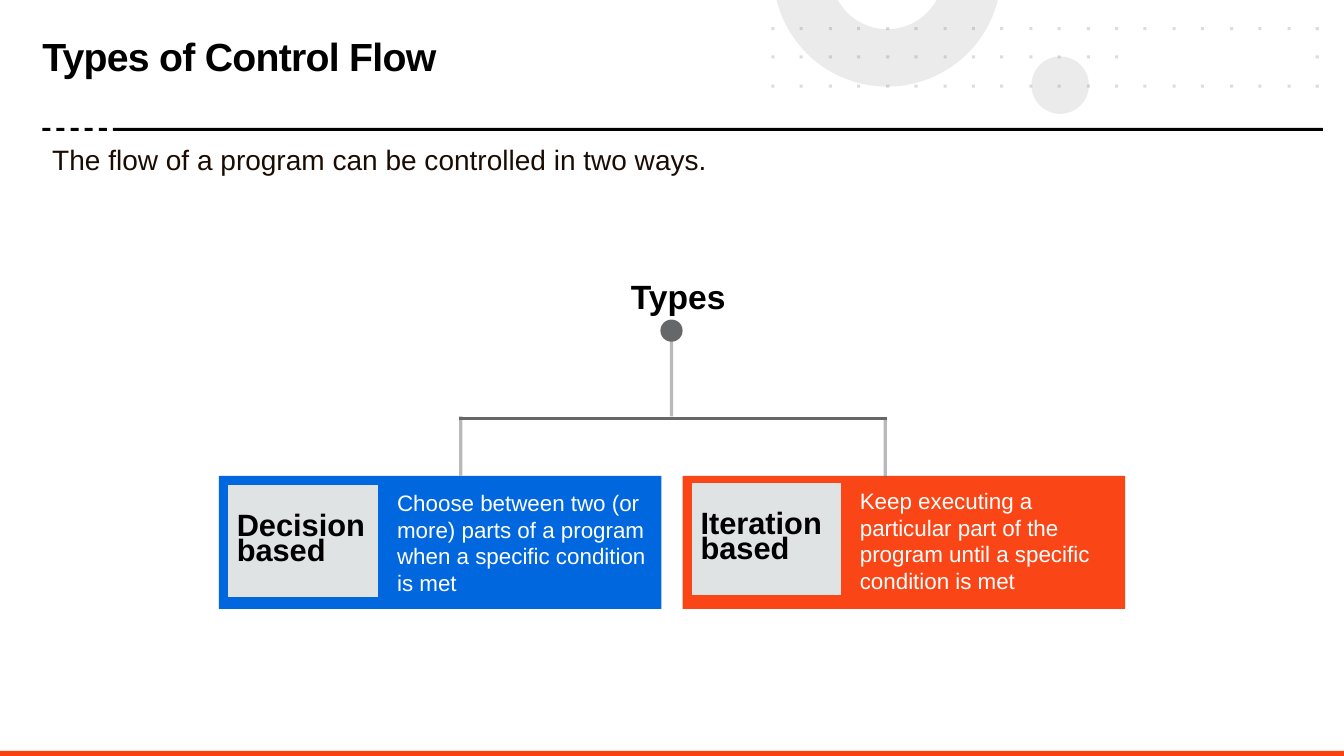
from dataclasses import dataclass
from math import asin, cos, pi, sin

from lxml import etree
from pptx import Presentation
from pptx.dml.color import RGBColor
from pptx.enum.shapes import MSO_CONNECTOR, MSO_SHAPE
from pptx.enum.text import MSO_ANCHOR, MSO_AUTO_SIZE, PP_ALIGN
from pptx.oxml.ns import qn
from pptx.util import Pt

PX = 9144  # 100 px to the inch
WIDTH, HEIGHT = 1333, 750
FONT = "Arial"

BLACK = RGBColor(0x00, 0x00, 0x00)
WHITE = RGBColor(0xFF, 0xFF, 0xFF)
INTRO_BROWN = RGBColor(0x1A, 0x0C, 0x02)
FOOTER_ORANGE = RGBColor(0xFA, 0x42, 0x11)
BLUE = RGBColor(0x00, 0x67, 0xDF)
ORANGE = RGBColor(0xFA, 0x46, 0x16)
LABEL_GREY = RGBColor(0xDF, 0xE3, 0xE3)
TREE_GREY = RGBColor(0x66, 0x67, 0x68)
PALE_GREY = RGBColor(0xD9, 0xD9, 0xD9)
DOT_SLATE = RGBColor(0x44, 0x54, 0x6A)

RECT, OVAL = MSO_SHAPE.RECTANGLE, MSO_SHAPE.OVAL
STRAIGHT, ELBOW = MSO_CONNECTOR.STRAIGHT, MSO_CONNECTOR.ELBOW
LEFT, MIDDLE = PP_ALIGN.LEFT, MSO_ANCHOR.MIDDLE
GROW, FIXED = MSO_AUTO_SIZE.SHAPE_TO_FIT_TEXT, MSO_AUTO_SIZE.NONE


@dataclass(frozen=True)
class Box:
    left: int
    top: int
    width: int
    height: int

    def emu(self) -> tuple[int, ...]:
        return tuple(v * PX for v in (self.left, self.top, self.width, self.height))


@dataclass(frozen=True)
class Branch:
    card: Box
    label_box: Box
    detail_box: Box
    color: RGBColor
    label: str
    detail: str


@dataclass(frozen=True)
class Link:
    start: tuple[int, int]
    end: tuple[int, int]
    opacity: int = 45
    kind: MSO_CONNECTOR = STRAIGHT


BRANCHES = (
    Branch(Box(217, 472, 439, 132), Box(225, 480, 151, 114), Box(384, 480, 272, 118),
           BLUE, "Decision based",
           "Choose between two (or more) parts of a program when a specific condition is met"),
    Branch(Box(677, 472, 439, 132), Box(685, 478, 151, 114), Box(843, 478, 284, 118),
           ORANGE, "Iteration based",
           "Keep executing a particular part of the program until a specific condition is met"),
)
TRUNK = (
    Link((455, 415), (880, 415), opacity=100, kind=ELBOW),
    Link((666, 319), (666, 413)),
)
DROPS = (
    Link((457, 413), (457, 472)),
    Link((878, 415), (878, 474)),
)

DOT_GROUPS = (range(14, 20), range(0, 6), range(6, 12), range(12, 14))
DOT_ROWS = (27, 55, 84)
DOT_SIZE = 3


def set_opacity(shape, percent: int) -> None:
    for color in shape._element.spPr.iter(qn("a:srgbClr")):
        etree.SubElement(color, qn("a:alpha")).set("val", str(percent * 1000))


def paint(shape, color: RGBColor, opacity: int = 100, border: RGBColor | None = None):
    shape.shadow.inherit = False
    shape.fill.solid()
    shape.fill.fore_color.rgb = color
    if opacity < 100:
        set_opacity(shape, opacity)
    if border is None:
        shape.line.fill.background()
    else:
        shape.line.color.rgb = border
        shape.line.width = Pt(2)
    return shape


def add_block(slide, box: Box, color: RGBColor, kind: MSO_SHAPE = RECT, **look):
    return paint(slide.shapes.add_shape(kind, *box.emu()), color, **look)


def write(shape, text: str, *, size: int, color: RGBColor = BLACK, bold: bool = False,
          spacing: float | None = None, tracking: int = 0, wrap: bool = True,
          fit: MSO_AUTO_SIZE = FIXED, inset: bool = True) -> None:
    frame = shape.text_frame
    frame.word_wrap = wrap
    frame.auto_size = fit
    if not inset:
        frame.margin_left = frame.margin_right = frame.margin_top = frame.margin_bottom = 0
    paragraph = frame.paragraphs[0]
    paragraph.alignment = LEFT
    if spacing:
        paragraph.line_spacing = spacing
    run = paragraph.add_run()
    run.text = text
    font = run.font
    font.name, font.size, font.bold = FONT, Pt(size), bold
    font.color.rgb = color
    if tracking:
        run._r.get_or_add_rPr().set("spc", str(tracking))


def add_text(slide, box: Box, text: str, **style) -> None:
    write(slide.shapes.add_textbox(*box.emu()), text, **style)


def add_link(slide, link: Link) -> None:
    ends = (v * PX for v in (*link.start, *link.end))
    line = slide.shapes.add_connector(link.kind, *ends)
    line.line.color.rgb = TREE_GREY
    line.line.width = Pt(2.25)
    if link.opacity < 100:
        set_opacity(line, link.opacity)
    etree.SubElement(line._element.spPr, qn("a:effectLst"))


def arc(x: int, y: int, radius: int, steps: int = 48) -> list[tuple[float, float]]:
    """Points of a circle's part below the slide's top edge, right to left."""
    start = asin(-y / radius)
    angles = (start + (pi - 2 * start) * i / steps for i in range(steps + 1))
    return [(x + radius * cos(a), max(0, y + radius * sin(a))) for a in angles]


def add_ring(slide) -> None:
    outline = arc(880, -27, 113) + arc(880, -27, 56)[::-1]
    builder = slide.shapes.build_freeform(*(round(v * PX) for v in outline[0]))
    builder.add_line_segments([(round(x * PX), round(y * PX)) for x, y in outline[1:]])
    paint(builder.convert_to_shape(), PALE_GREY, opacity=50)


def add_dots(slide, columns: range) -> None:
    # The middle row has a gap between columns 13 and 18
    corners = [(765 + round(column * 540 / 19), top)
               for top in DOT_ROWS for column in columns
               if top != DOT_ROWS[1] or not 13 <= column <= 18]
    builder = slide.shapes.build_freeform(*corners[0], scale=PX)
    for x, y in corners:
        builder.move_to(x, y)
        right, bottom = x + DOT_SIZE, y + DOT_SIZE
        builder.add_line_segments([(right, y), (right, bottom), (x, bottom)])
    paint(builder.convert_to_shape(), DOT_SLATE, opacity=20)


def main() -> None:
    deck = Presentation()
    deck.slide_width, deck.slide_height = WIDTH * PX, HEIGHT * PX
    slide = deck.slides.add_slide(deck.slide_layouts[6])

    # Corner decoration
    add_block(slide, Box(1023, 56, 57, 57), PALE_GREY, OVAL, opacity=50)
    add_ring(slide)
    for columns in DOT_GROUPS:
        add_dots(slide, columns)

    # Title, dashed rule and footer bar
    add_text(slide, Box(42, 39, 723, 75), "Types of Control Flow", size=28, bold=True,
             spacing=0.85, tracking=-50, inset=False)
    add_block(slide, Box(112, 127, 1200, 3), BLACK)
    add_block(slide, Box(0, 745, WIDTH, 5), FOOTER_ORANGE)
    add_text(slide, Box(42, 136, 1267, 44),
             "The flow of a program can be controlled in two ways.",
             size=20, color=INTRO_BROWN, fit=GROW)
    for dash in range(5):
        add_block(slide, Box(42 + 14 * dash, 127, 8, 3), BLACK)

    # Tree of types
    for link in TRUNK:
        add_link(slide, link)
    for branch in BRANCHES:
        add_block(slide, branch.card, branch.color)
        label = add_block(slide, branch.label_box, LABEL_GREY, border=branch.color)
        label.text_frame.vertical_anchor = MIDDLE
        write(label, branch.label, size=22, bold=True, spacing=0.7)
        add_text(slide, branch.detail_box, branch.detail, size=16, color=WHITE, fit=GROW)
    add_text(slide, Box(616, 269, 117, 50), "Types", size=24, bold=True, wrap=False, fit=GROW)
    add_block(slide, Box(655, 317, 22, 22), TREE_GREY, OVAL)
    for link in DROPS:
        add_link(slide, link)

    deck.save("out.pptx")


if __name__ == "__main__":
    main()
